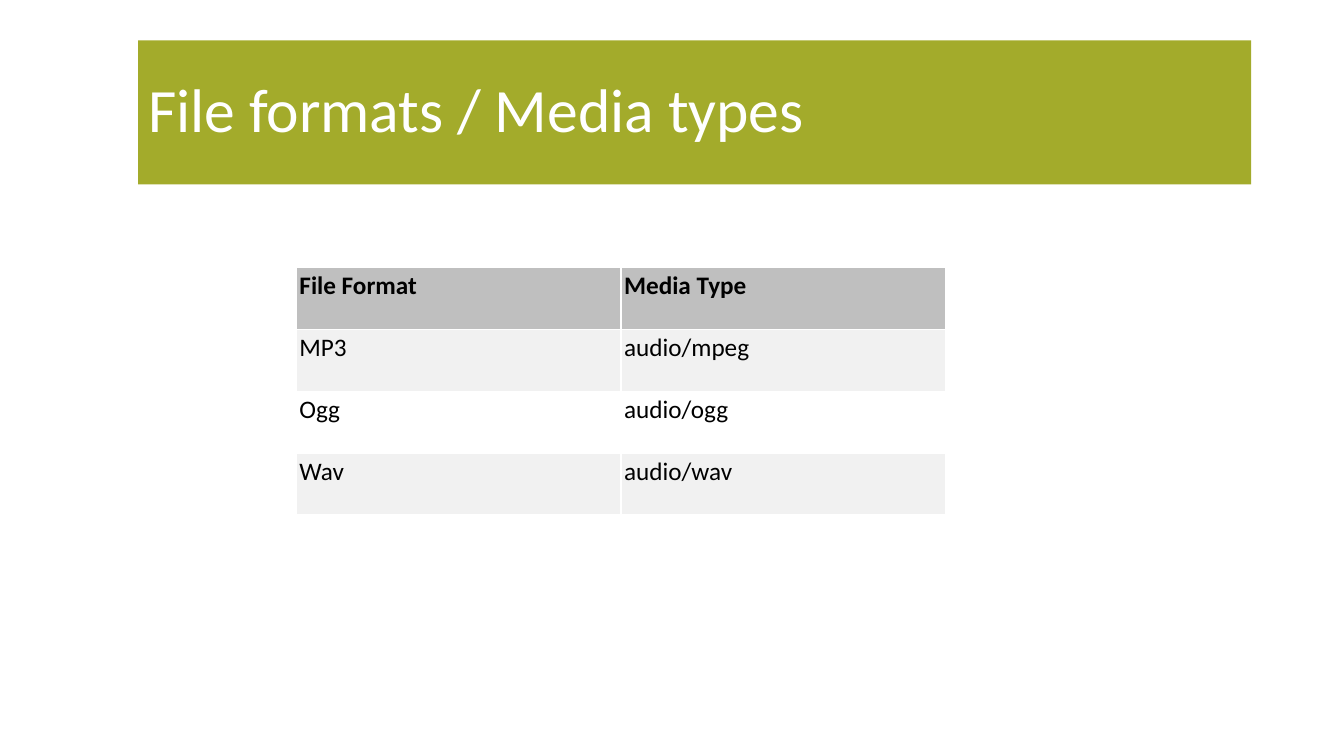
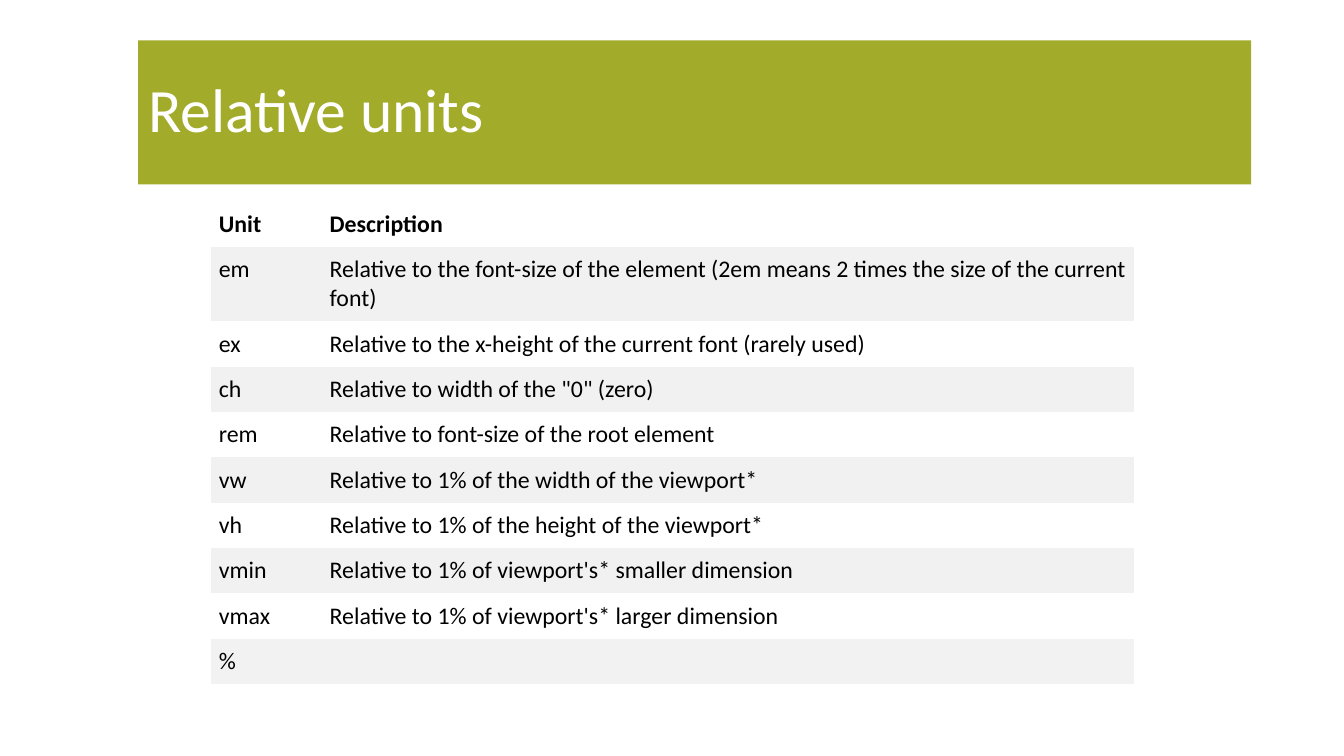
import pptx
import pptx.dml.color
import pptx.enum.shapes
import pptx.enum.text
import pptx.oxml
import pptx.oxml.ns
import pptx.util

Inches = pptx.util.Inches
Pt = pptx.util.Pt
RGBColor = pptx.dml.color.RGBColor

OLIVE = RGBColor(0xA3, 0xAB, 0x2B)
WHITE = RGBColor(0xFF, 0xFF, 0xFF)
BLACK = RGBColor(0x00, 0x00, 0x00)
HEADER_GREY = RGBColor(0xBF, 0xBF, 0xBF)
BAND_GREY = RGBColor(0xF1, 0xF1, 0xF1)
LAST_GREY = RGBColor(0xF2, 0xF2, 0xF2)

FONT = "Calibri"
PLAIN_TABLE_STYLE = "{2D5ABB26-0587-4C30-8999-92F81FD0307C}"

MEDIA_TYPES = [
    ("File Format", "Media Type"),
    ("MP3", "audio/mpeg"),
    ("Ogg", "audio/ogg"),
    ("Wav", "audio/wav"),
]
RELATIVE_UNITS = [
    ("Unit", "Description"),
    ("em", "Relative to the font-size of the element "
           "(2em means 2 times the size of the current font)"),
    ("ex", "Relative to the x-height of the current font (rarely used)"),
    ("ch", 'Relative to width of the "0" (zero)'),
    ("rem", "Relative to font-size of the root element"),
    ("vw", "Relative to 1% of the width of the viewport*"),
    ("vh", "Relative to 1% of the height of the viewport*"),
    ("vmin", "Relative to 1% of viewport's* smaller dimension"),
    ("vmax", "Relative to 1% of viewport's* larger dimension"),
    ("%", ""),
]


def add_text(tf, text, size, color, bold=False):
    """Write one formatted run into the first paragraph and return it."""
    p = tf.paragraphs[0]
    r = p.add_run()
    r.text = text
    font = {"name": FONT, "size": Pt(size), "bold": bold}
    for name, value in font.items():
        setattr(r.font, name, value)
    r.font.color.rgb = color
    return p


def add_titled_slide(prs, title):
    """Add a blank slide with the olive title band."""
    s = prs.slides.add_slide(prs.slide_layouts[6])
    sp = s.shapes.add_shape(
        pptx.enum.shapes.MSO_SHAPE.RECTANGLE,
        Inches(1.37), Inches(0.4), Inches(11.04), Inches(1.43))
    sp.shadow.inherit = False
    sp.fill.solid()
    sp.fill.fore_color.rgb = OLIVE
    sp.line.fill.background()
    tf = sp.text_frame
    tf.word_wrap = True
    tf.vertical_anchor = pptx.enum.text.MSO_ANCHOR.MIDDLE
    p = add_text(tf, title, 44, WHITE)
    p.alignment = pptx.enum.text.PP_ALIGN.LEFT
    p.line_spacing = 0.9
    return s


def add_borders(cell, color):
    """Draw a one-point line on each side of a cell."""
    tc_pr = cell._tc.get_or_add_tcPr()
    for side in ("lnL", "lnR", "lnT", "lnB"):
        tc_pr.append(pptx.oxml.parse_xml(
            f'<a:{side} {pptx.oxml.ns.nsdecls("a")} w="{Pt(1)}"><a:solidFill>'
            f'<a:srgbClr val="{color}"/></a:solidFill></a:{side}>'))


def add_banded_table(s, rows, left, top, widths, heights, size, inset,
                     header_fill, border=None):
    """Add a table with a bold header and alternating row fills."""
    table = s.shapes.add_table(
        len(rows), len(widths), Inches(left), Inches(top),
        Inches(sum(widths)), Inches(sum(heights))).table
    style = table._tbl.tblPr.find(pptx.oxml.ns.qn("a:tableStyleId"))
    style.text = PLAIN_TABLE_STYLE
    for column, width in zip(table.columns, widths):
        column.width = Inches(width)
    for row, height in zip(table.rows, heights):
        row.height = Inches(height)
    for i, texts in enumerate(rows):
        fill = header_fill if i == 0 else BAND_GREY if i % 2 else WHITE
        for j, text in enumerate(texts):
            cell = table.cell(i, j)
            if border is not None:
                add_borders(cell, border)
            cell.fill.solid()
            cell.fill.fore_color.rgb = fill
            if text:
                for side in ("left", "right", "top", "bottom"):
                    setattr(cell, f"margin_{side}", Inches(inset))
                add_text(cell.text_frame, text, size, BLACK, bold=i == 0)
    return table


def main():
    """Build and save the two slides."""
    prs = pptx.Presentation()
    prs.slide_width = Inches(13.33)
    prs.slide_height = Inches(7.5)

    s = add_titled_slide(prs, "File formats / Media types")
    add_banded_table(s, MEDIA_TYPES, 2.94, 2.65, [3.22] * 2,
                     [0.615] * len(MEDIA_TYPES), 18, 0.03, HEADER_GREY, WHITE)

    s = add_titled_slide(prs, "Relative units")
    heights = [0.45, 0.73] + [0.45] * (len(RELATIVE_UNITS) - 2)
    units = add_banded_table(s, RELATIVE_UNITS, 2.09, 2, [1.1, 8.06],
                             heights, 17, 0.08, WHITE)
    for cell in units.rows[len(RELATIVE_UNITS) - 1].cells:
        cell.fill.fore_color.rgb = LAST_GREY

    prs.save("out.pptx")


main()
